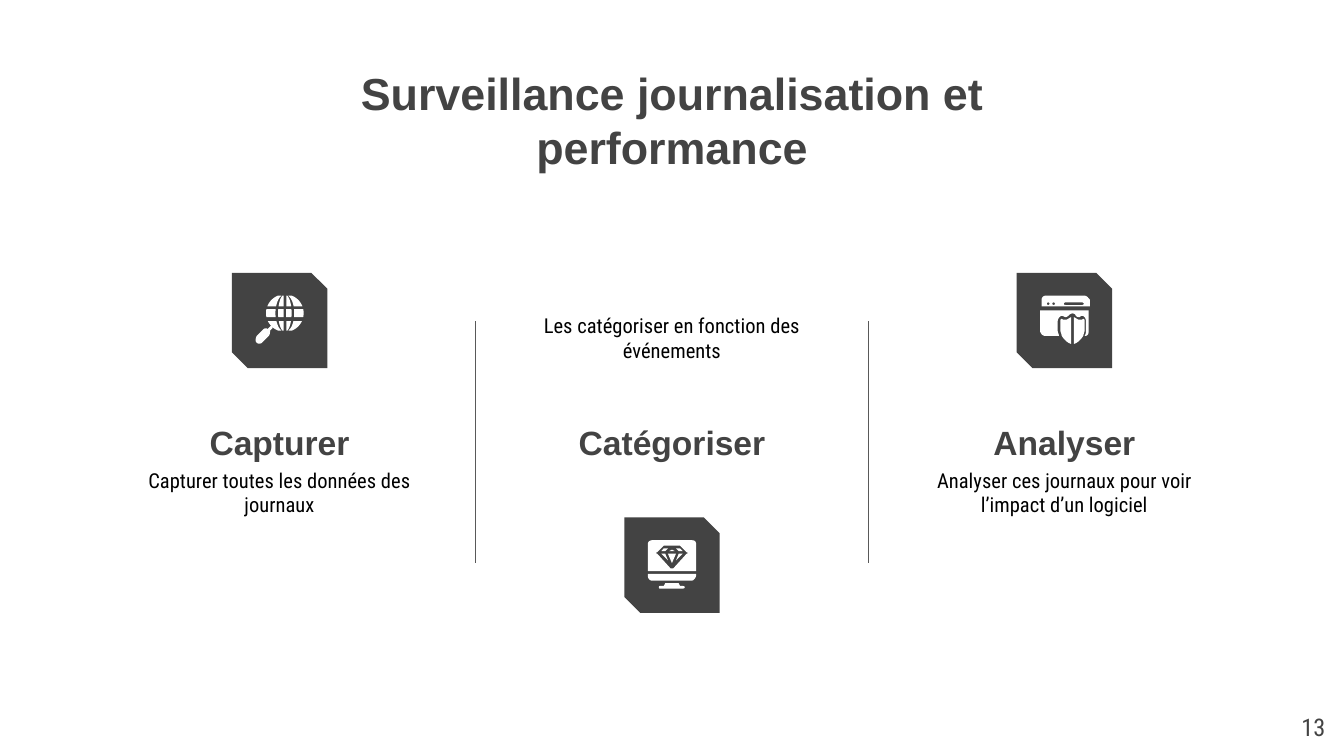
import math
import pptx
import pptx.util
import pptx.dml.color
import pptx.enum.shapes
import pptx.enum.text
import pptx.oxml.ns
import lxml.etree

Inches = pptx.util.Inches
ALIGN = pptx.enum.text.PP_ALIGN
ANCHOR = pptx.enum.text.MSO_ANCHOR
COLORS = {"dark": "434343", "rule": "595959", "text": "000000", "icon": "FFFFFF"}
HEADING_FONT, BODY_FONT = "Arial", "Roboto Condensed"

TITLE = "Surveillance journalisation et performance"
PAGE_NUMBER = "13"
COLUMNS = [
    {"heading": "Capturer", "body": "Capturer toutes les données des journaux",
     "body_top": 3.38, "body_width": 2.24, "card_top": 2.03},
    {"heading": "Catégoriser", "body": "Les catégoriser en fonction des événements",
     "body_top": 2.23, "body_width": 2.43, "card_top": 3.85},
    {"heading": "Analyser", "body": "Analyser ces journaux pour voir l’impact d’un logiciel",
     "body_top": 3.38, "body_width": 2.43, "card_top": 2.03},
]
CENTER, PITCH, CARD = 2.08, 2.92, 0.71
RULE_TOP, RULE_BOTTOM = 2.39, 4.19

GLOBE_X, GLOBE_Y, GLOBE_RADIUS = 2.12, 2.33, 0.14
GLOBE_BANDS = [(-0.13, -0.05), (-0.03, 0.03), (0.06, 0.13)]
HANDLE = [(2.02, 2.42), (1.99, 2.45), (1.99, 2.44, 1.97, 2.44, 1.96, 2.45), (1.91, 2.5),
          (1.9, 2.52, 1.9, 2.54, 1.91, 2.55), (1.92, 2.56, 1.94, 2.56, 1.95, 2.55),
          (2, 2.5), (2.01, 2.49, 2.01, 2.47, 2.01, 2.46), (2.03, 2.44)]

WINDOW_BAR = [(7.78, 2.2), (7.76, 2.2, 7.75, 2.22, 7.75, 2.23), (7.75, 2.28), (8.11, 2.28),
              (8.11, 2.23), (8.1, 2.22, 8.09, 2.2, 8.07, 2.2)]
WINDOW_SLOT = [(8.05, 2.25), (8.07, 2.25, 8.07, 2.27, 8.05, 2.27), (7.93, 2.27),
               (7.91, 2.27, 7.91, 2.25, 7.93, 2.25)]
WINDOW_DOTS = [(7.8, 2.26), (7.84, 2.26)]
WINDOW_BODY = [(7.74, 2.31), (7.74, 2.47), (7.75, 2.49, 7.76, 2.5, 7.78, 2.5), (7.88, 2.5),
               (7.88, 2.49, 7.87, 2.47, 7.87, 2.46), (7.87, 2.39),
               (7.87, 2.37, 7.89, 2.35, 7.9, 2.35), (7.91, 2.35, 7.92, 2.36, 7.93, 2.36),
               (7.93, 2.36, 7.94, 2.36, 7.96, 2.34), (7.97, 2.33, 7.99, 2.33, 8, 2.34),
               (8.01, 2.36, 8.02, 2.36, 8.03, 2.36), (8.04, 2.36, 8.04, 2.35, 8.05, 2.35),
               (8.07, 2.35, 8.08, 2.37, 8.08, 2.39), (8.08, 2.46),
               (8.08, 2.47, 8.08, 2.49, 8.07, 2.5), (8.09, 2.5, 8.1, 2.49, 8.1, 2.47),
               (8.1, 2.31)]
SHIELD_AXIS = 7.98
SHIELD_HALF = [(7.97, 2.36), (7.95, 2.37, 7.94, 2.38, 7.93, 2.38),
               (7.92, 2.38, 7.92, 2.38, 7.91, 2.38), (7.9, 2.37, 7.89, 2.37, 7.89, 2.39),
               (7.89, 2.46), (7.89, 2.47, 7.9, 2.49, 7.9, 2.5),
               (7.92, 2.53, 7.94, 2.55, 7.97, 2.56)]

SCREEN_AXIS = 5
GEM_CENTER = [[(5, 4.09), (4.98, 4.1), (5.02, 4.1)], [(4.97, 4.12), (5, 4.19), (5.03, 4.12)]]
GEM_HALF = [[(4.94, 4.08), (4.92, 4.1), (4.95, 4.1), (4.97, 4.08)],
            [(4.92, 4.12), (4.97, 4.17), (4.95, 4.12)]]
SCREEN = [(4.85, 4.02), (4.84, 4.02, 4.82, 4.03, 4.82, 4.05), (4.82, 4.25), (5.18, 4.25),
          (5.18, 4.05), (5.18, 4.03, 5.17, 4.02, 5.15, 4.02)]
SCREEN_GEM = [(5.06, 4.06), (5.07, 4.07), (5.11, 4.11), (5.12, 4.11, 5.12, 4.12, 5.11, 4.12),
              (5.01, 4.23), (5, 4.23, 5, 4.23, 4.99, 4.23), (4.89, 4.12),
              (4.88, 4.12, 4.88, 4.11, 4.89, 4.11), (4.93, 4.07), (4.94, 4.06)]
SCREEN_FOOT = [(4.82, 4.27), (4.82, 4.28), (4.82, 4.3, 4.83, 4.32, 4.85, 4.32), (5.15, 4.32),
               (5.16, 4.32, 5.18, 4.3, 5.18, 4.28), (5.18, 4.27)]
STAND = [(4.95, 4.34), (4.94, 4.36), (4.91, 4.36), (4.9, 4.36, 4.9, 4.38, 4.91, 4.38),
         (5.08, 4.38), (5.1, 4.38, 5.1, 4.36, 5.08, 4.36), (5.06, 4.36), (5.05, 4.34)]


def color(name):
    return pptx.dml.color.RGBColor.from_string(COLORS[name])


def flatten(outline, steps=6):
    points = []
    for node in outline:
        if len(node) == 2:
            points.append(node)
            continue
        controls = [points[-1], node[:2], node[2:4], node[4:]]
        for step in range(1, steps + 1):
            t = step / steps
            weights = [math.comb(3, k) * t ** k * (1 - t) ** (3 - k) for k in range(4)]
            points.append(tuple(sum(w * c[axis] for w, c in zip(weights, controls))
                                for axis in (0, 1)))
    return points


def mirror(outline, center):
    return [tuple(2 * center - value if i % 2 == 0 else value for i, value in enumerate(node))
            for node in outline]


def circle(x, y, radius, steps=12):
    angles = [2 * math.pi * k / steps for k in range(steps)]
    return [(x + radius * math.cos(a), y + radius * math.sin(a)) for a in angles]


def globe_pieces(steps=8):
    pieces = []
    for top, bottom in GLOBE_BANDS:
        heights = [top + (bottom - top) * k / steps for k in range(steps + 1)]
        bulges = [math.sqrt(1 - (y / GLOBE_RADIUS) ** 2) for y in heights]
        inner = [(0.01, max(0.01, 0.05 * b)) for b in bulges]
        outer = [(0.07 * b, GLOBE_RADIUS * b) for b in bulges]
        for spans in (inner, outer):
            near = [(GLOBE_X + s[0], GLOBE_Y + y) for s, y in zip(spans, heights)]
            far = [(GLOBE_X + s[1], GLOBE_Y + y) for s, y in zip(spans, heights)]
            piece = near + far[::-1]
            pieces += [[piece], [mirror(piece, GLOBE_X)]]
    return pieces


def paint(shape, name):
    shape.shadow.inherit = False
    shape.fill.solid()
    shape.fill.fore_color.rgb = color(name)
    shape.line.fill.background()


def add_icon(page, pieces):
    group = page.shapes.add_group_shape()
    for contours in pieces:
        builder = None
        for outline in contours:
            points = [(Inches(x), Inches(y)) for x, y in flatten(outline)]
            if builder is None:
                builder = group.shapes.build_freeform(*points[0])
            else:
                builder.move_to(*points[0])
            builder.add_line_segments(points[1:], close=True)
        paint(builder.convert_to_shape(), "icon")


def write(box, text, size, font, name, align=ALIGN.CENTER, anchor=ANCHOR.TOP, bold=False):
    frame = box.text_frame
    frame.text = text
    frame.word_wrap = True
    frame.auto_size = pptx.enum.text.MSO_AUTO_SIZE.NONE
    frame.vertical_anchor = anchor
    frame.margin_left = frame.margin_right = Inches(0.1)
    frame.margin_top = frame.margin_bottom = Inches(0.1)
    para = frame.paragraphs[0]
    para.alignment = align
    para.font.size = pptx.util.Pt(size)
    para.font.name = font
    para.font.bold = bold
    para.font.color.rgb = color(name)


def add_text(page, left, top, width, height, *content, **style):
    box = page.shapes.add_textbox(Inches(left), Inches(top), Inches(width), Inches(height))
    write(box, *content, **style)


def add_rule(page, x):
    rule = page.shapes.add_connector(pptx.enum.shapes.MSO_CONNECTOR.STRAIGHT, Inches(x),
                                     Inches(RULE_TOP), Inches(x), Inches(RULE_BOTTOM))
    rule.line.color.rgb = color("rule")
    rule.line.width = pptx.util.Pt(0.75)
    lxml.etree.SubElement(rule._element.spPr, pptx.oxml.ns.qn("a:effectLst"))


def main():
    deck = pptx.Presentation()
    deck.slide_width = Inches(10)
    deck.slide_height = deck.slide_width * 9 // 16
    page = deck.slides.add_slide(deck.slide_layouts[5])
    title = page.shapes.title
    title.left, title.top = Inches(2.15), Inches(0.39)
    title.width, title.height = Inches(5.7), Inches(1.03)
    write(title, TITLE, 24, HEADING_FONT, "dark", bold=True)

    for index, column in enumerate(COLUMNS):
        center = CENTER + index * PITCH
        add_text(page, center - PITCH / 2, 3.07, PITCH, 0.47,
                 column["heading"], 18, HEADING_FONT, "dark", anchor=ANCHOR.BOTTOM, bold=True)
        add_text(page, center - column["body_width"] / 2, column["body_top"],
                 column["body_width"], 1.1, column["body"], 11, BODY_FONT, "text")
        card = page.shapes.add_shape(
            pptx.enum.shapes.MSO_SHAPE.SNIP_2_DIAG_RECTANGLE, Inches(center - CARD / 2),
            Inches(column["card_top"]), Inches(CARD), Inches(CARD))
        card.adjustments[0], card.adjustments[1] = 0, 0.167
        paint(card, "dark")
    for index in (1, 2):
        add_rule(page, CENTER + (index - 0.5) * PITCH)

    dots = [circle(x, y, 0.01) for x, y in WINDOW_DOTS]
    gem = GEM_CENTER + GEM_HALF + [mirror(part, SCREEN_AXIS) for part in GEM_HALF]
    add_icon(page, globe_pieces() + [[HANDLE]])
    add_icon(page, [[WINDOW_BAR, WINDOW_SLOT] + dots, [WINDOW_BODY], [SHIELD_HALF],
                    [mirror(SHIELD_HALF, SHIELD_AXIS)]])
    add_icon(page, [[part] for part in gem] + [[SCREEN, SCREEN_GEM], [SCREEN_FOOT], [STAND]])

    add_text(page, 9.36, 5.19, 0.6, 0.43, PAGE_NUMBER, 13, BODY_FONT, "dark",
             align=ALIGN.RIGHT, anchor=ANCHOR.MIDDLE)
    deck.save("out.pptx")


if __name__ == "__main__":
    main()
